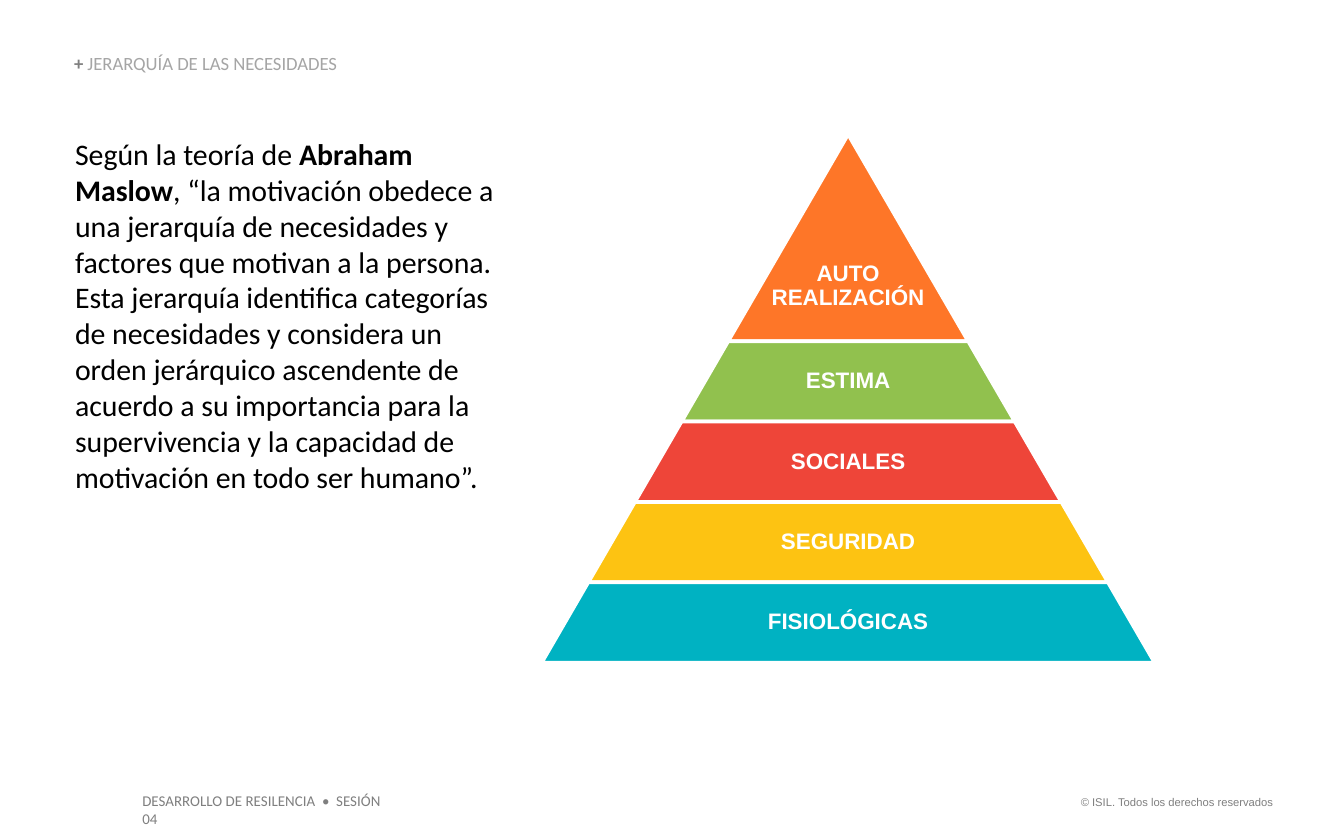
from pptx import Presentation
from pptx.dml.color import RGBColor
from pptx.enum.shapes import MSO_SHAPE as Shape
from pptx.enum.text import MSO_ANCHOR as Anchor, PP_ALIGN as Align
from pptx.util import Cm, Pt


def color(hex_text):
    return RGBColor.from_string(hex_text)


class SlideBuilder:
    WHITE, BLACK, GRAY, LIGHT_GRAY = "FFFFFF", "000000", "7F7F7F", "A5A5A5"
    BODY_FONT, LABEL_FONT = "Calibri", "Arial"

    def __init__(self, presentation):
        self.slide = presentation.slides.add_slide(presentation.slide_layouts[6])

    def text(self, box, runs, size, font=BODY_FONT, align=Align.LEFT,
             anchor=Anchor.TOP, insets=(0, 0), spacing=1.0):
        """Add a one-paragraph box; runs are (text, colour, bold)."""
        shape = self.slide.shapes.add_textbox(*map(Cm, box))
        frame = shape.text_frame
        frame.word_wrap = True
        frame.vertical_anchor = anchor
        frame.margin_left = frame.margin_right = Cm(insets[0])
        frame.margin_top = frame.margin_bottom = Cm(insets[1])
        paragraph = frame.paragraphs[0]
        paragraph.alignment = align
        paragraph.line_spacing = spacing
        # A line break splits the text into several runs
        for content, run_color, bold in runs:
            for index, line in enumerate(content.split("\n")):
                if index:
                    paragraph.add_line_break()
                run = paragraph.add_run()
                run.text = line
                run.font.name = font
                run.font.size = Pt(size)
                run.font.bold = bold
                run.font.color.rgb = color(run_color)

    def tier(self, box, slope, fill):
        shape = self.slide.shapes.add_shape(Shape.TRAPEZOID, *map(Cm, box))
        shape.adjustments[0] = slope
        shape.shadow.inherit = False
        shape.fill.solid()
        shape.fill.fore_color.rgb = color(fill)
        shape.line.color.rgb = color(self.WHITE)
        shape.line.width = Pt(2)

    def pyramid(self, center, top, slope, tiers):
        """Stack tiers of (label, fill, height, label height) from the apex."""
        depth = 0
        for label, fill, height, label_height in tiers:
            y = top + depth
            depth += height
            width = 2 * slope * depth
            self.tier((center - width / 2, y, width, height), slope, fill)
            label_width = max(0.65 * width, 4)
            label_box = (center - label_width / 2, top + depth - label_height,
                         label_width, label_height)
            self.text(label_box, [(label, self.WHITE, True)], 12, self.LABEL_FONT,
                      Align.CENTER, Anchor.MIDDLE, (0.05, 0.05), 0.9)


def main():
    presentation = Presentation()
    presentation.slide_width, presentation.slide_height = Cm(25.4), Cm(15.88)
    builder = SlideBuilder(presentation)
    black, gray = builder.BLACK, builder.GRAY

    # Footer
    footer_insets = (0.25, 0.13)
    builder.text((20.02, 14.91, 4.29, 0.51),
                 [("© ISIL. Todos los derechos reservados", gray, False)],
                 6, builder.LABEL_FONT, Align.RIGHT, insets=footer_insets)
    builder.text((2.44, 14.83, 5.36, 0.61),
                 [("DESARROLLO DE RESILENCIA  •  SESIÓN 04", gray, False)],
                 8, insets=footer_insets)

    # Heading and body text
    builder.text((1.4, 1.04, 6.76, 0.38),
                 [("+ ", gray, True),
                  ("JERARQUÍA DE LAS NECESIDADES", builder.LIGHT_GRAY, False)],
                 10, anchor=Anchor.BOTTOM, spacing=0.9)
    builder.text((1.42, 2.57, 8.1, 6.83),
                 [("Según la teoría de ", black, False),
                  ("Abraham Maslow", black, True),
                  (", “la motivación obedece a una jerarquía de necesidades y "
                   "factores que motivan a la persona. Esta jerarquía identifica "
                   "categorías de necesidades y considera un orden jerárquico "
                   "ascendente de acuerdo a su importancia para la supervivencia "
                   "y la capacidad de motivación en todo ser humano”.", black, False)],
                 16)

    # Pyramid of needs
    builder.pyramid(center=16.03, top=2.54, slope=0.58, tiers=[
        ("AUTO\nREALIZACIÓN", "FE7628", 3.91, 2.08),
        ("ESTIMA", "91C14E", 1.52, 1.52),
        ("SOCIALES", "EE4539", 1.52, 1.52),
        ("SEGURIDAD", "FDC312", 1.52, 1.52),
        ("FISIOLÓGICAS", "00B2C2", 1.52, 1.52),
    ])

    presentation.save("out.pptx")


if __name__ == "__main__":
    main()
